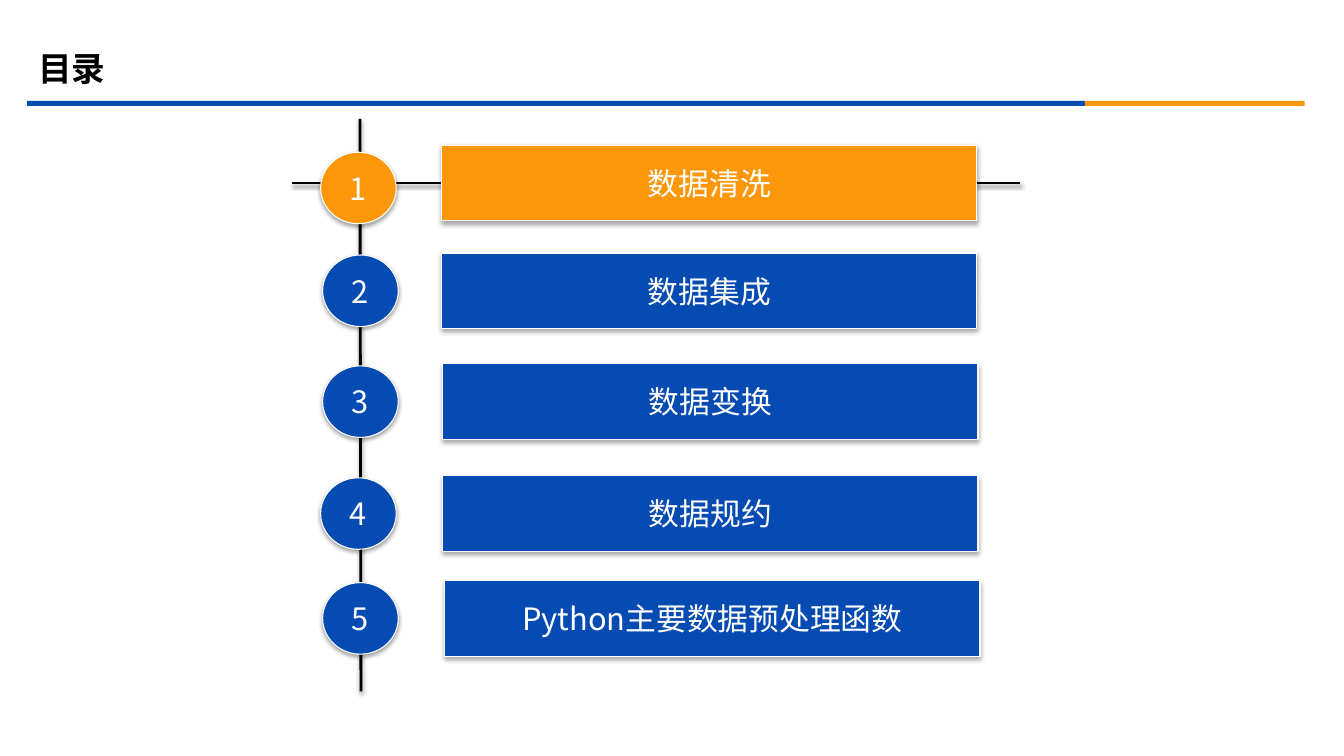
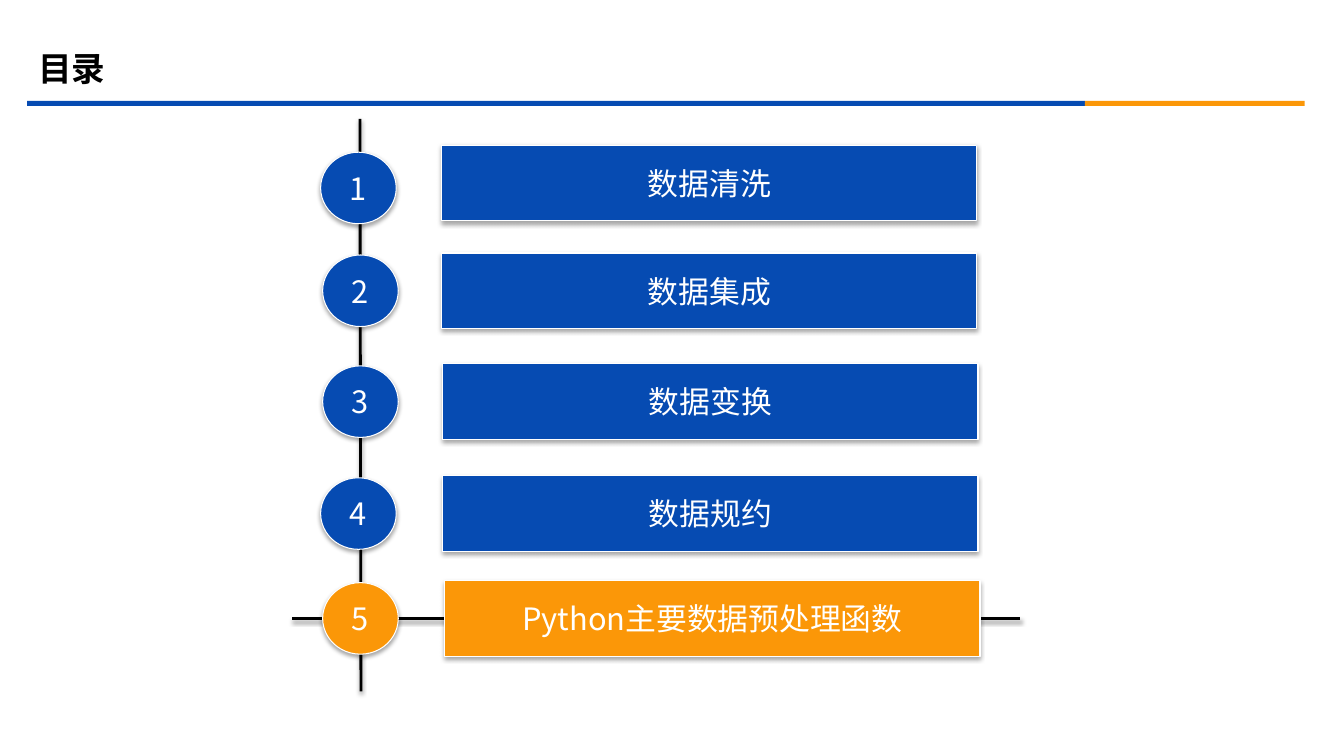
"""Build two agenda slides, each highlighting one chapter."""
from lxml.etree import SubElement
from pptx import Presentation
from pptx.dml.color import RGBColor
from pptx.enum.shapes import MSO_CONNECTOR, MSO_SHAPE
from pptx.enum.text import MSO_ANCHOR, PP_ALIGN
from pptx.oxml.ns import qn
from pptx.util import Inches, Pt

BLUE = RGBColor(0x06, 0x4B, 0xB2)
ORANGE = RGBColor(0xFB, 0x97, 0x08)
WHITE = RGBColor(0xFF, 0xFF, 0xFF)
BLACK = RGBColor(0x00, 0x00, 0x00)
FONT = "Noto Sans CJK SC"

BOX_WIDTH, BOX_HEIGHT = 5.31, 0.75
CIRCLE_WIDTH, CIRCLE_HEIGHT = 0.75, 0.71
CHAPTERS = [
    ("数据清洗", 4.38, 1.44, 3.18, 1.51),
    ("数据集成", 4.38, 2.51, 3.2, 2.53),
    ("数据变换", 4.39, 3.61, 3.2, 3.63),
    ("数据规约", 4.39, 4.72, 3.18, 4.74),
    ("Python主要数据预处理函数", 4.41, 5.76, 3.2, 5.78),
]
HIGHLIGHTS = [0, 4]


def write(shape, text, size, color, alignment, bold=False):
    """Fill a shape with one formatted, vertically centred paragraph."""
    frame = shape.text_frame
    frame.text = text
    frame.vertical_anchor = MSO_ANCHOR.MIDDLE
    paragraph = frame.paragraphs[0]
    paragraph.alignment = alignment
    font = paragraph.font
    font.name, font.size, font.bold = FONT, Pt(size), bold
    font.color.rgb = color
    for properties in shape.element.iter(qn("a:defRPr")):
        SubElement(properties, qn("a:ea"), typeface=FONT)


def outline(shape, color, width, distance, opacity):
    """Set the line of a shape and cast a soft shadow straight down."""
    shape.line.color.rgb = color
    shape.line.width = Pt(width)
    effects = SubElement(shape.element.spPr, qn("a:effectLst"))
    shadow = SubElement(effects, qn("a:outerShdw"), blurRad=str(Pt(3.1)),
                        dist=str(Pt(distance)), dir="5400000", rotWithShape="0")
    tint = SubElement(shadow, qn("a:srgbClr"), val=str(BLACK))
    SubElement(tint, qn("a:alpha"), val=str(opacity * 1000))


presentation = Presentation()
presentation.slide_width = Inches(13.33)
presentation.slide_height = Inches(7.5)
layout = presentation.slide_layouts[5]
for placeholder in list(layout.placeholders):
    if placeholder.placeholder_format.idx:
        layout.shapes.element.remove(placeholder.element)
layout_title = layout.placeholders[0]
layout_title.left, layout_title.top = Inches(0.28), Inches(0.39)
layout_title.width, layout_title.height = Inches(12), Inches(0.58)

slides = [presentation.slides.add_slide(layout) for _ in HIGHLIGHTS]

bands = []
for left, width, color in [(0.27, 10.49, BLUE), (10.76, 2.18, ORANGE)]:
    band = slides[0].shapes.add_shape(
        MSO_SHAPE.RECTANGLE, Inches(left), Inches(1), Inches(width), Inches(0.05))
    band.fill.solid()
    band.fill.fore_color.rgb = color
    band.line.fill.background()
    band.shadow.inherit = False
    bands.append(band)
for band in bands:
    layout.shapes.element.append(band.element)

for slide, highlight in zip(slides, HIGHLIGHTS):
    write(slide.shapes.title, "目录", 24, BLACK, PP_ALIGN.LEFT, bold=True)

    middle = CHAPTERS[highlight][2] + BOX_HEIGHT / 2
    for ends in [(3.57, 1.18, 3.58, 6.86), (2.9, middle, 10.12, middle)]:
        connector = slide.shapes.add_connector(
            MSO_CONNECTOR.STRAIGHT, *[Inches(end) for end in ends])
        outline(connector, BLACK, 2, 1.6, 38)

    for index, (name, box_left, box_top, circle_left, circle_top) in enumerate(CHAPTERS):
        parts = [
            (MSO_SHAPE.ACTION_BUTTON_CUSTOM, name,
             (box_left, box_top, BOX_WIDTH, BOX_HEIGHT)),
            (MSO_SHAPE.OVAL, str(index + 1),
             (circle_left, circle_top, CIRCLE_WIDTH, CIRCLE_HEIGHT)),
        ]
        for preset, text, place in parts:
            shape = slide.shapes.add_shape(preset, *[Inches(length) for length in place])
            shape.fill.solid()
            shape.fill.fore_color.rgb = ORANGE if index == highlight else BLUE
            outline(shape, WHITE, 0.75, 1.8, 35)
            write(shape, text, 22, WHITE, PP_ALIGN.CENTER)
            shape.text_frame.word_wrap = False

presentation.save("out.pptx")
